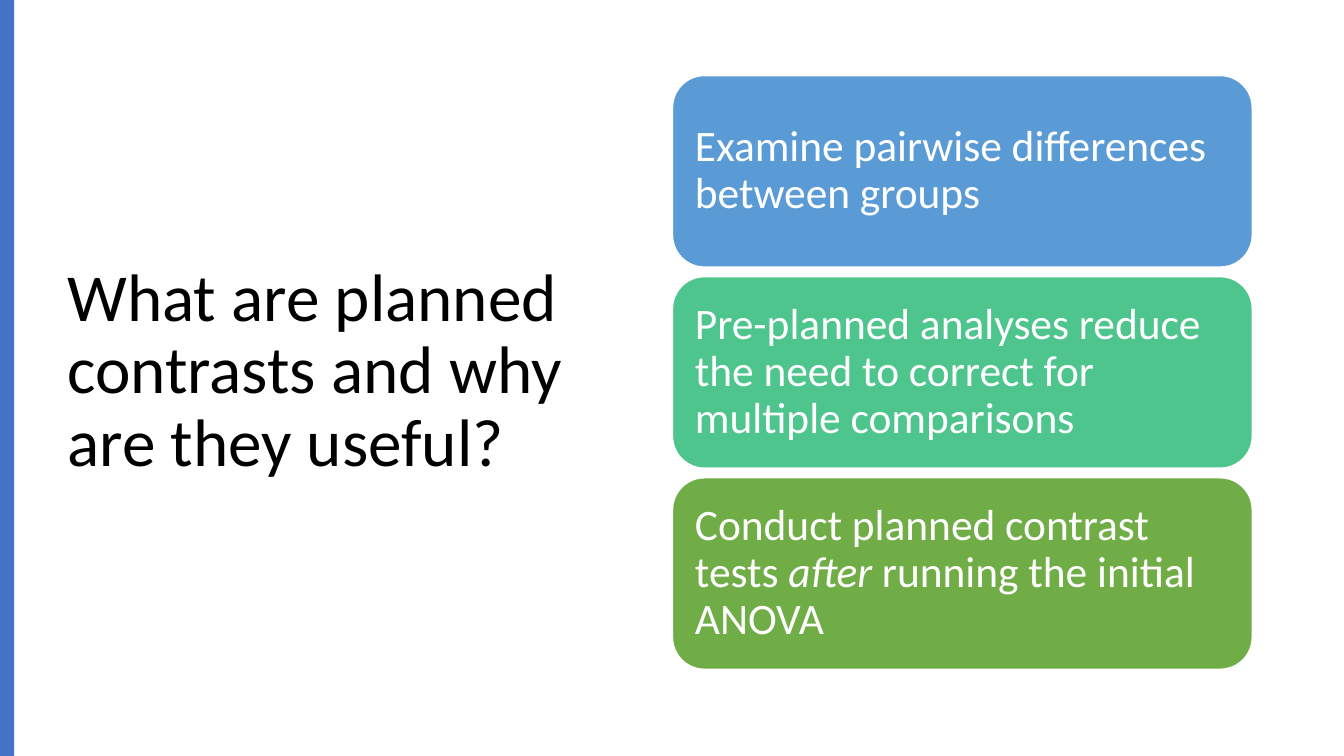
from pptx import Presentation
from pptx.dml.color import RGBColor
from pptx.enum.shapes import MSO_SHAPE as SHAPE
from pptx.enum.text import MSO_ANCHOR as ANCHOR, PP_ALIGN as ALIGN
from pptx.util import Inches, Pt

TITLE = "What are planned contrasts and why are they useful?"
CARDS = [
    ("5B9BD5", [("Examine pairwise differences between groups", False)]),
    ("4DC58D", [("Pre-planned analyses reduce the need to correct for multiple comparisons", False)]),
    ("70AD47", [("Conduct planned contrast tests ", False), ("after", True),
                (" running the initial ANOVA", False)]),
]
TITLE_BOX = (0.57, 0.68, 5.67, 6.02)
ACCENT_BAR = (0, 0, 0.14, 7.5)
CARD_LEFT, CARD_WIDTH, CARD_HEIGHT = 6.67, 5.75, 1.9
FIRST_TOP, LAST_TOP = 0.75, 4.74
TITLE_FONT = {"name": "Calibri", "size": Pt(48)}
CARD_FONT = {"name": "Calibri", "size": Pt(31)}


def rgb(value):
    return RGBColor.from_string(value)


def set_attrs(obj, values):
    for name, value in values.items():
        setattr(obj, name, value)


def write(sp, runs, font, color, inset):
    tf = sp.text_frame
    margins = {f"margin_{side}": Inches(inset) for side in ("left", "right", "top", "bottom")}
    set_attrs(tf, {"word_wrap": True, "vertical_anchor": ANCHOR.MIDDLE, **margins})
    p = tf.paragraphs[0]
    set_attrs(p, {"alignment": ALIGN.LEFT, "line_spacing": 0.9})
    for text, italic in runs:
        r = p.add_run()
        r.text = text
        set_attrs(r.font, {**font, "italic": italic})
        r.font.color.rgb = rgb(color)


def add_block(s, kind, box, fill):
    sp = s.shapes.add_shape(kind, *map(Inches, box))
    sp.shadow.inherit = False
    sp.fill.solid()
    sp.fill.fore_color.rgb = rgb(fill)
    sp.line.fill.background()
    return sp


def main():
    prs = Presentation()
    set_attrs(prs, {"slide_width": Inches(13.33), "slide_height": Inches(7.5)})
    s = prs.slides.add_slide(prs.slide_layouts[6])

    title = s.shapes.add_textbox(*map(Inches, TITLE_BOX))
    write(title, [(TITLE, False)], TITLE_FONT, "000000", 0.1)
    add_block(s, SHAPE.RECTANGLE, ACCENT_BAR, "4472C4")

    pitch = (LAST_TOP - FIRST_TOP) / (len(CARDS) - 1)
    for i, (fill, runs) in enumerate(CARDS):
        box = (CARD_LEFT, FIRST_TOP + i * pitch, CARD_WIDTH, CARD_HEIGHT)
        card = add_block(s, SHAPE.ROUNDED_RECTANGLE, box, fill)
        card.line.color.rgb = rgb("FFFFFF")
        card.line.width = Pt(1)
        write(card, runs, CARD_FONT, "FFFFFF", 0.13)

    prs.save("out.pptx")


if __name__ == "__main__":
    main()
